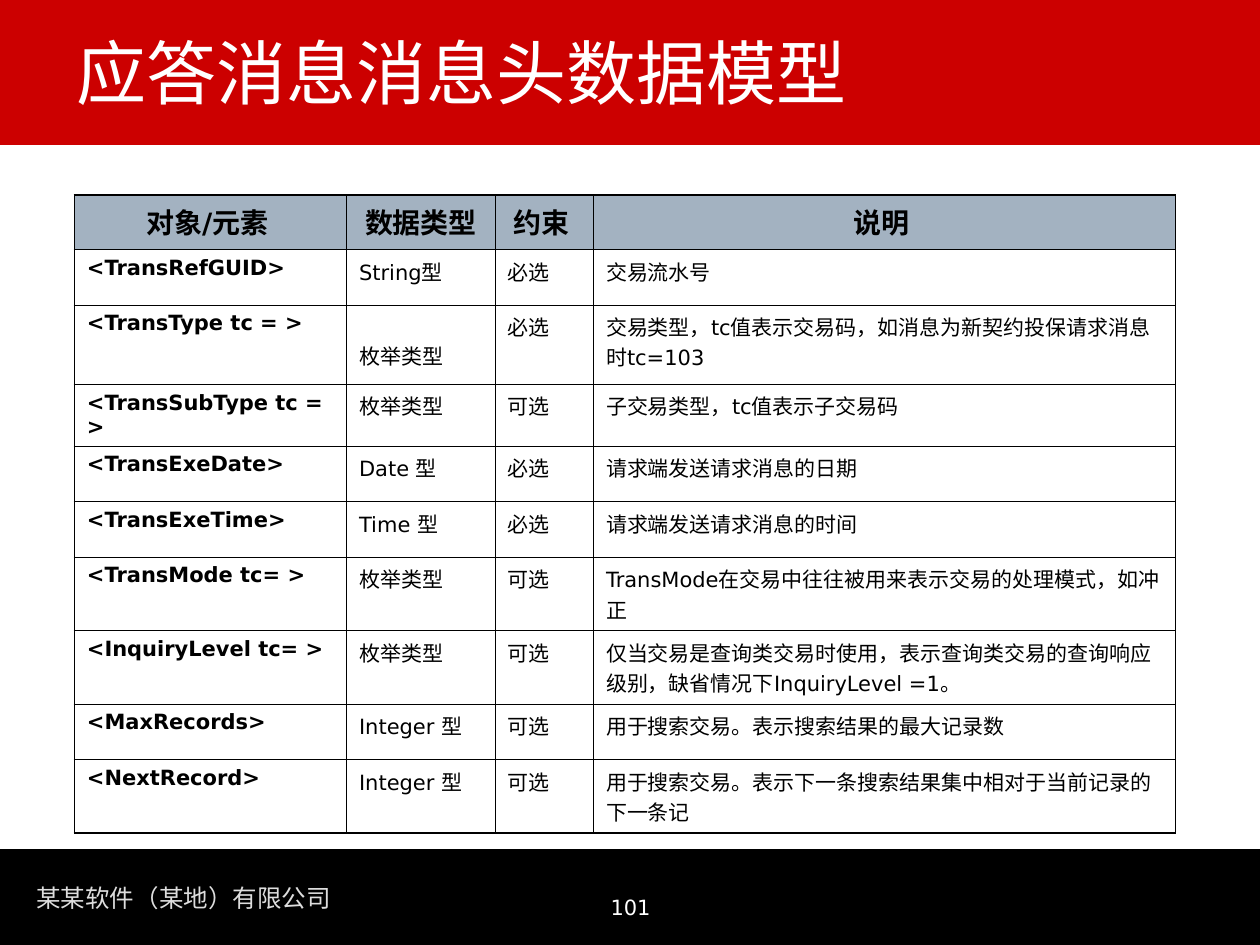
"""Build the slide describing the response message header data model."""
from lxml import etree
from pptx import Presentation
from pptx.dml.color import RGBColor
from pptx.enum import shapes, text
from pptx.oxml import ns
from pptx.util import Inches, Pt

FONT = "DejaVu Sans"
RED = RGBColor(0xCC, 0x00, 0x00)
BLACK = RGBColor(0x00, 0x00, 0x00)
WHITE = RGBColor(0xFF, 0xFF, 0xFF)
SILVER = RGBColor(0xDD, 0xDD, 0xDD)
HEADER_BLUE = RGBColor(0xA3, 0xB2, 0xC1)
OUTER, INNER = Pt(1.08), Pt(0.45)

FIELDS = [
    ("对象/元素 ", "数据类型", "约束 ", "说明 "),
    ("<TransRefGUID>", "String型", "必选", "交易流水号"),
    ("<TransType tc = >", "枚举类型", "必选",
     "交易类型，tc值表示交易码，如消息为新契约投保请求消息时tc=103"),
    ("<TransSubType tc = >", "枚举类型", "可选", "子交易类型，tc值表示子交易码"),
    ("<TransExeDate>", "Date 型", "必选", "请求端发送请求消息的日期"),
    ("<TransExeTime>", "Time 型", "必选", "请求端发送请求消息的时间"),
    ("<TransMode tc= >", "枚举类型", "可选",
     "TransMode在交易中往往被用来表示交易的处理模式，如冲正"),
    ("<InquiryLevel tc= >", "枚举类型", "可选",
     "仅当交易是查询类交易时使用，表示查询类交易的查询响应级别，缺省情况下InquiryLevel =1。"),
    ("<MaxRecords>", "Integer 型", "可选", "用于搜索交易。表示搜索结果的最大记录数"),
    ("<NextRecord>", "Integer 型", "可选",
     "用于搜索交易。表示下一条搜索结果集中相对于当前记录的下一条记"),
]
COLUMN_WIDTHS = [2.16, 1.18, 0.78, 4.62]
ROW_HEIGHTS = [0.43, 0.44, 0.63, 0.49, 0.44, 0.44, 0.58, 0.58, 0.44, 0.58]


def write(frame, words, size, color, align=text.PP_ALIGN.LEFT, bold=False):
    frame.text = words
    paragraph = frame.paragraphs[0]
    paragraph.alignment = align
    paragraph.font.name = FONT
    paragraph.font.size = Pt(size)
    paragraph.font.bold = bold
    paragraph.font.color.rgb = color


def add_border(cell, side, width):
    line = etree.SubElement(cell._tc.get_or_add_tcPr(), ns.qn(f"a:ln{side}"), w=str(width))
    fill = etree.SubElement(line, ns.qn("a:solidFill"))
    etree.SubElement(fill, ns.qn("a:srgbClr"), val=str(BLACK))


prs = Presentation()
prs.slide_width, prs.slide_height = Inches(10), Inches(7.5)
slide = prs.slides.add_slide(prs.slide_layouts[5])

for top, height, color in [(6.74, 0.76, BLACK), (0, 1.15, RED)]:
    band = slide.shapes.add_shape(
        shapes.MSO_SHAPE.RECTANGLE, 0, Inches(top), Inches(10), Inches(height))
    band.shadow.inherit = False
    band.fill.solid()
    band.fill.fore_color.rgb = color
    band.line.fill.background()

company = slide.shapes.add_textbox(Inches(0.19), Inches(6.96), Inches(2.54), Inches(0.34))
company.text_frame.word_wrap = False
write(company.text_frame, "某某软件（某地）有限公司", 14, SILVER)

page_number = slide.shapes.add_textbox(Inches(3.42), Inches(6.83), Inches(3.17), Inches(0.52))
page_number.text_frame.word_wrap = True
page_number.text_frame.vertical_anchor = text.MSO_ANCHOR.BOTTOM
write(page_number.text_frame, "101", 12, WHITE, text.PP_ALIGN.CENTER)

title = slide.shapes.title
title.element.getparent().append(title.element)
title.left, title.top = Inches(0.51), Inches(0.28)
title.width, title.height = Inches(8.75), Inches(0.67)
title.text_frame.auto_size = text.MSO_AUTO_SIZE.NONE
title.text_frame.vertical_anchor = text.MSO_ANCHOR.BOTTOM
write(title.text_frame, "应答消息消息头数据模型", 40, WHITE)

model = slide.shapes.add_table(
    len(FIELDS), len(COLUMN_WIDTHS), Inches(0.59), Inches(1.55),
    Inches(sum(COLUMN_WIDTHS)), Inches(sum(ROW_HEIGHTS))).table
model.horz_banding = False
for column, width in zip(model.columns, COLUMN_WIDTHS):
    column.width = Inches(width)
for row, height in zip(model.rows, ROW_HEIGHTS):
    row.height = Inches(height)

last_row, last_col = len(FIELDS) - 1, len(COLUMN_WIDTHS) - 1
for r, field in enumerate(FIELDS):
    for c, words in enumerate(field):
        cell = model.cell(r, c)
        if r == 0:
            write(cell.text_frame, words, 16, BLACK, text.PP_ALIGN.CENTER, True)
        else:
            write(cell.text_frame, words, 12, BLACK, bold=c == 0)
        edges = {"L": c == 0, "R": c == last_col, "T": r == 0, "B": r == last_row}
        for side, outside in edges.items():
            add_border(cell, side, OUTER if outside else INNER)
        if r == 0:
            cell.fill.solid()
            cell.fill.fore_color.rgb = HEADER_BLUE
        else:
            cell.fill.background()
model.cell(2, 1).margin_top = Inches(0.28)

prs.save("out.pptx")
